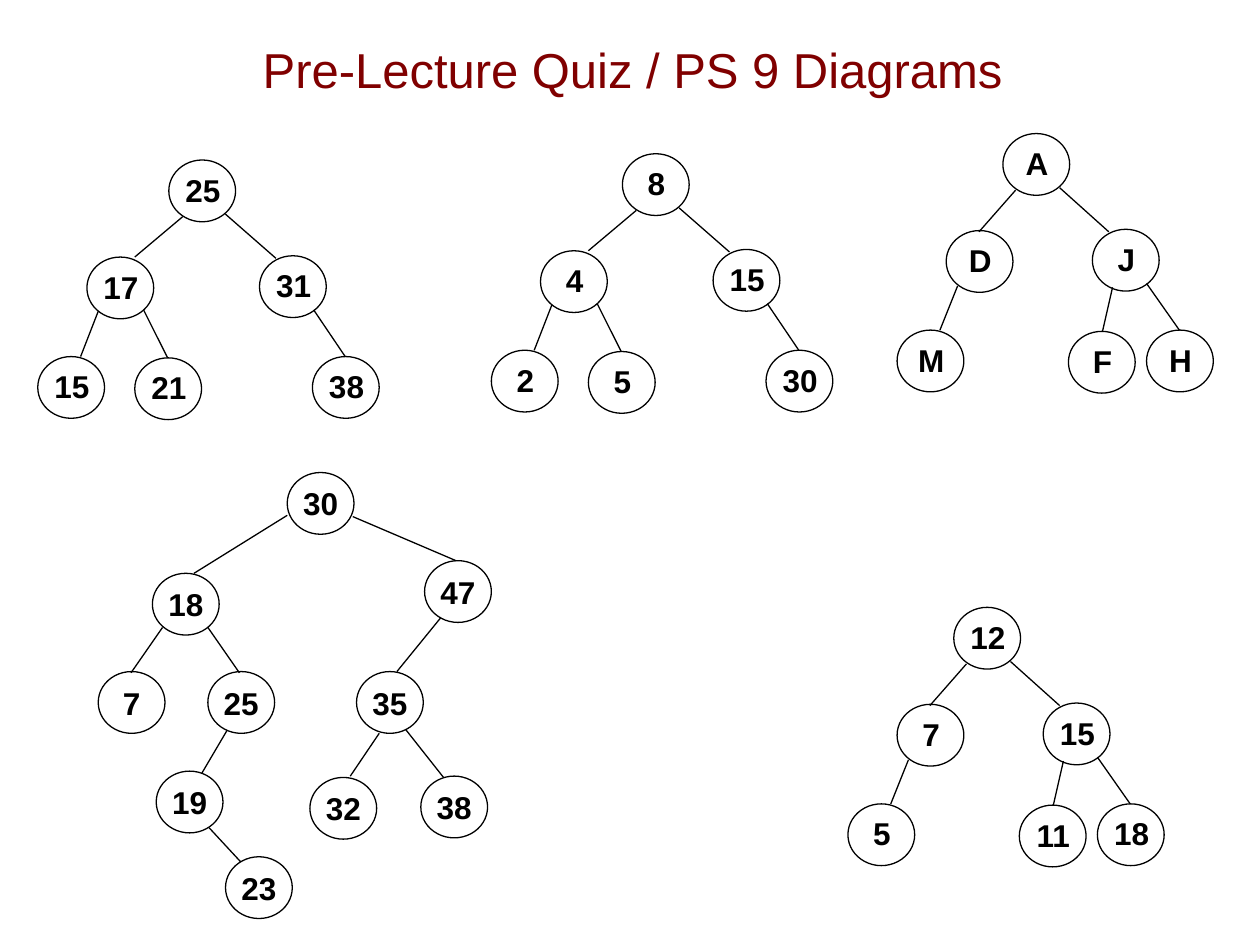
from collections import namedtuple

from lxml.etree import SubElement
from pptx import Presentation
from pptx.dml.color import RGBColor
from pptx.enum.shapes import MSO_CONNECTOR, MSO_SHAPE
from pptx.enum.text import MSO_ANCHOR, MSO_AUTO_SIZE, PP_ALIGN
from pptx.oxml.ns import qn
from pptx.util import Inches, Pt

COLUMNS, ROWS = 100, 75
SLIDE_WIDTH, SLIDE_HEIGHT = Inches(10), Inches(7.5)
NODE_WIDTH, NODE_HEIGHT = 5.3, 4.9
PLATE_WIDTH, PLATE_HEIGHT = 6.1, 4.1
PLATE_LEFT, PLATE_TOP = -0.35, 0.35
BLACK, WHITE, MAROON = "000000", "FFFFFF", "800000"

Layout = namedtuple("Layout", "nodes edges")

WIDE = Layout(
    nodes=[(10.4, 0), (3.9, 7.7), (17.6, 7.6), (0, 15.6), (7.7, 15.7), (21.8, 15.6)],
    edges=[
        (11.5, 4.5, 7.7, 7.7),
        (14.9, 4.3, 18.9, 7.8),
        (4.8, 12, 3.4, 15.6),
        (8.4, 11.9, 10.3, 15.7),
        (21.9, 11.9, 24.4, 15.6),
    ],
)
NARROW = Layout(
    nodes=[(8.4, 0), (3.9, 7.7), (15.5, 7.6), (0, 15.6), (13.6, 15.7), (19.8, 15.6)],
    edges=[
        (9.4, 4.5, 6.5, 7.8),
        (12.9, 4.3, 16.8, 7.8),
        (4.8, 12.1, 3.4, 15.6),
        (17.1, 12.2, 16.3, 15.7),
        (19.8, 11.9, 22.4, 15.6),
    ],
)
TALL = Layout(
    nodes=[
        (15, 0), (4.3, 8), (25.9, 7), (0, 15.8), (8.7, 15.8),
        (20.5, 15.8), (4.6, 23.7), (16.8, 24.2), (25.6, 24.1), (10.1, 30.5),
    ],
    edges=[
        (15, 3.4, 7.6, 8),
        (20.2, 3.5, 28.4, 7),
        (5.1, 12.3, 2.6, 15.9),
        (8.7, 12.3, 11.2, 15.9),
        (27.2, 11.5, 23.7, 15.8),
        (10.2, 20.5, 8.2, 23.9),
        (22.3, 20.7, 20, 24.1),
        (24.4, 20.4, 27.4, 24.2),
        (8.8, 28.2, 11.3, 30.9),
    ],
)


def column(count):
    return round(SLIDE_WIDTH * count / COLUMNS)


def row(count):
    return round(SLIDE_HEIGHT * count / ROWS)


def box(left, top, width, height):
    return column(left), row(top), column(width), row(height)


def paint(color_format, value):
    color_format.rgb = RGBColor.from_string(value)


def write(frame, wording, size, color, bold=False):
    paragraph = frame.paragraphs[0]
    paragraph.alignment = PP_ALIGN.CENTER
    run = paragraph.add_run()
    run.text = wording
    run.font.name = "Arial"
    run.font.size = Pt(size)
    run.font.bold = bold
    paint(run.font.color, color)


def add_title(slide, wording, left, top, width, height):
    title = slide.shapes.title
    title.left, title.top, title.width, title.height = box(left, top, width, height)
    frame = title.text_frame
    frame.auto_size = MSO_AUTO_SIZE.NONE
    frame.vertical_anchor = MSO_ANCHOR.MIDDLE
    write(frame, wording, 28, MAROON)


def add_plate(slide, label, left, top):
    plate = slide.shapes.add_shape(
        MSO_SHAPE.RECTANGLE,
        *box(left + PLATE_LEFT, top + PLATE_TOP, PLATE_WIDTH, PLATE_HEIGHT),
    )
    plate.shadow.inherit = False
    plate.fill.solid()
    paint(plate.fill.fore_color, WHITE)
    plate.line.fill.background()
    frame = plate.text_frame
    frame.word_wrap = True
    frame.vertical_anchor = MSO_ANCHOR.TOP
    write(frame, label, 18, BLACK, bold=True)


def add_node(slide, label, left, top, plated):
    if plated:
        add_plate(slide, label, left, top)
    node = slide.shapes.add_shape(
        MSO_SHAPE.OVAL, *box(left, top, NODE_WIDTH, NODE_HEIGHT)
    )
    node.shadow.inherit = False
    node.fill.background()
    paint(node.line.color, BLACK)
    node.line.width = Pt(0.75)
    if not plated:
        frame = node.text_frame
        frame.word_wrap = False
        frame.margin_left = frame.margin_right = Inches(0.02)
        frame.vertical_anchor = MSO_ANCHOR.MIDDLE
        write(frame, label, 18, BLACK, bold=True)


def add_edge(slide, start_x, start_y, end_x, end_y):
    edge = slide.shapes.add_connector(
        MSO_CONNECTOR.STRAIGHT,
        column(start_x), row(start_y), column(end_x), row(end_y),
    )
    paint(edge.line.color, BLACK)
    edge.line.width = Pt(0.75)
    SubElement(edge._element.spPr, qn("a:effectLst"))


def add_tree(slide, left, top, layout, labels, plated=True):
    for label, (x, y) in zip(labels, layout.nodes):
        add_node(slide, label, left + x, top + y, plated)
    for start_x, start_y, end_x, end_y in layout.edges:
        add_edge(slide, left + start_x, top + start_y, left + end_x, top + end_y)


def main():
    deck = Presentation()
    deck.slide_width, deck.slide_height = SLIDE_WIDTH, SLIDE_HEIGHT
    slide = deck.slides.add_slide(deck.slide_layouts[5])
    add_title(slide, "Pre-Lecture Quiz / PS 9 Diagrams", 4.3, 0.8, 91.8, 9.3)
    add_tree(slide, 71.2, 10.6, NARROW, "A D J M F H".split())
    add_tree(slide, 67.3, 48.2, NARROW, "12 7 15 5 11 18".split())
    add_tree(slide, 3, 12.7, WIDE, "25 17 31 15 21 38".split())
    add_tree(slide, 39, 12.2, WIDE, "8 4 15 2 5 30".split())
    add_tree(
        slide, 7.8, 37.5, TALL, "30 18 47 7 25 35 19 32 38 23".split(), plated=False
    )
    deck.save("out.pptx")


if __name__ == "__main__":
    main()
